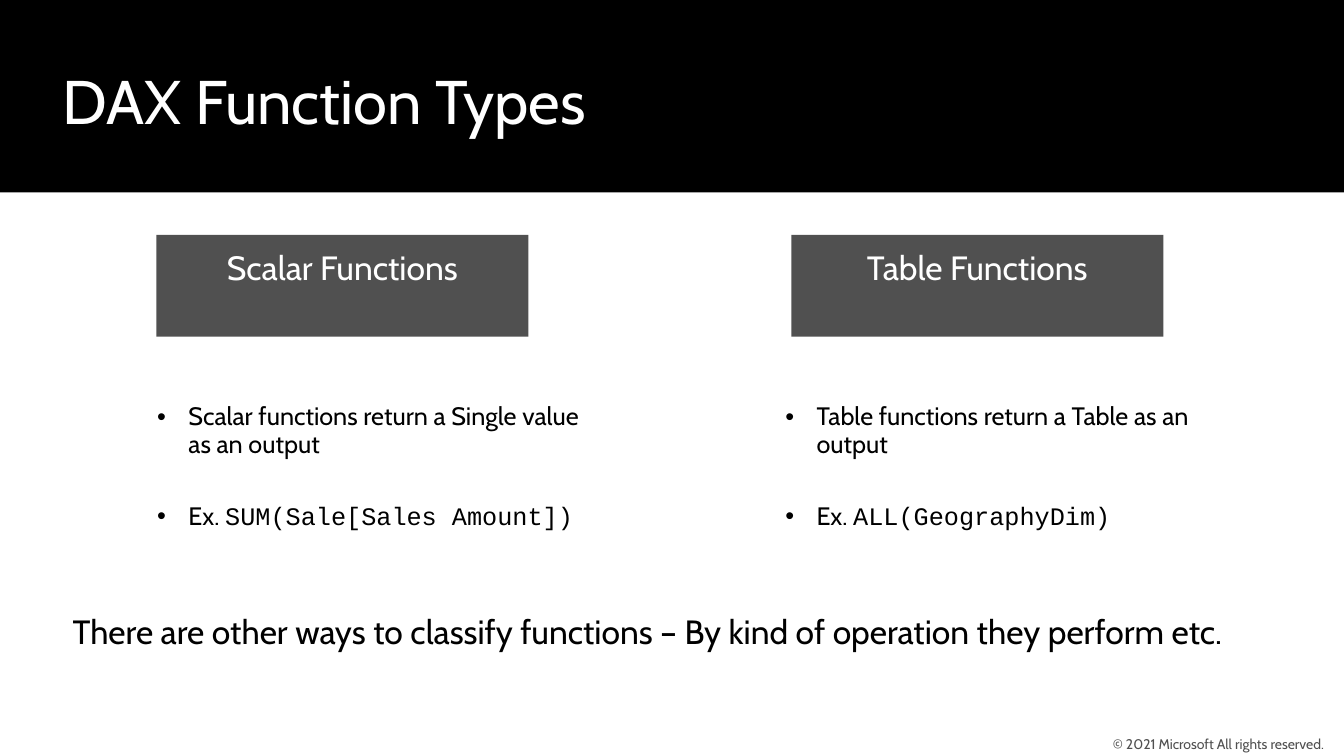
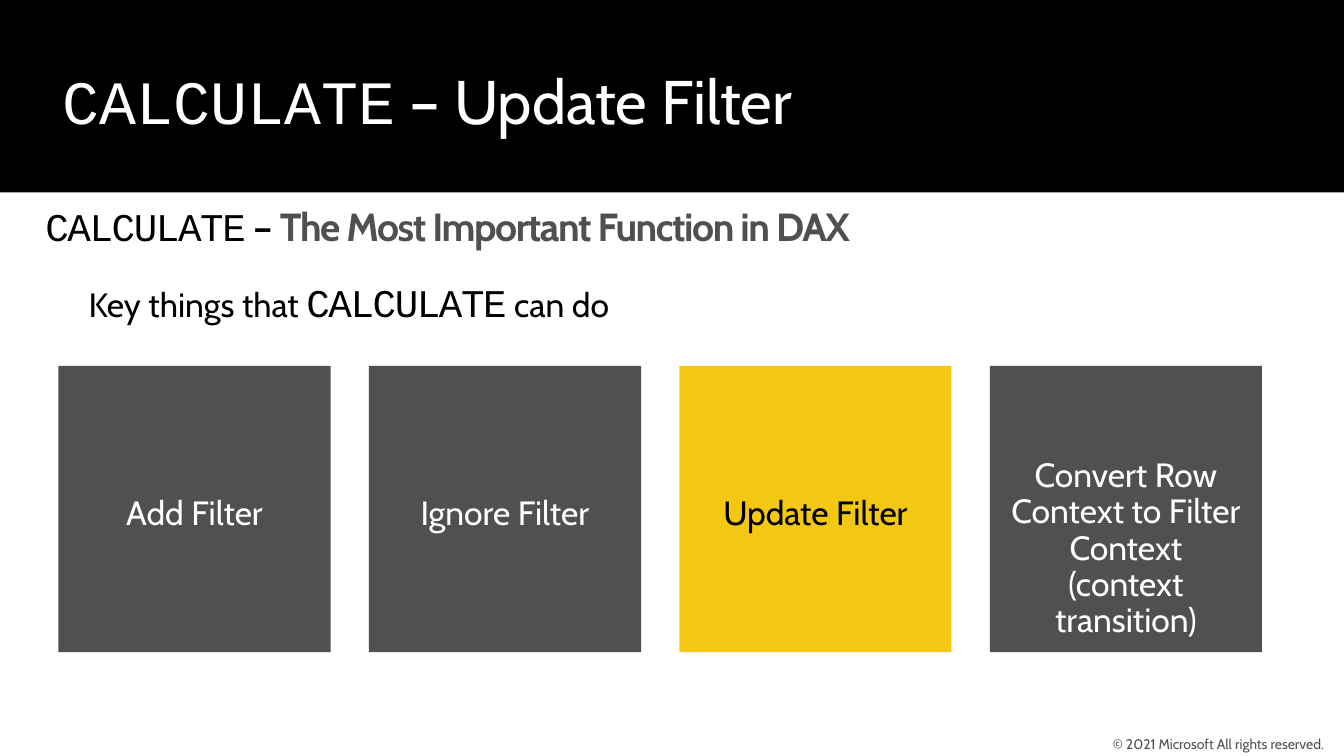
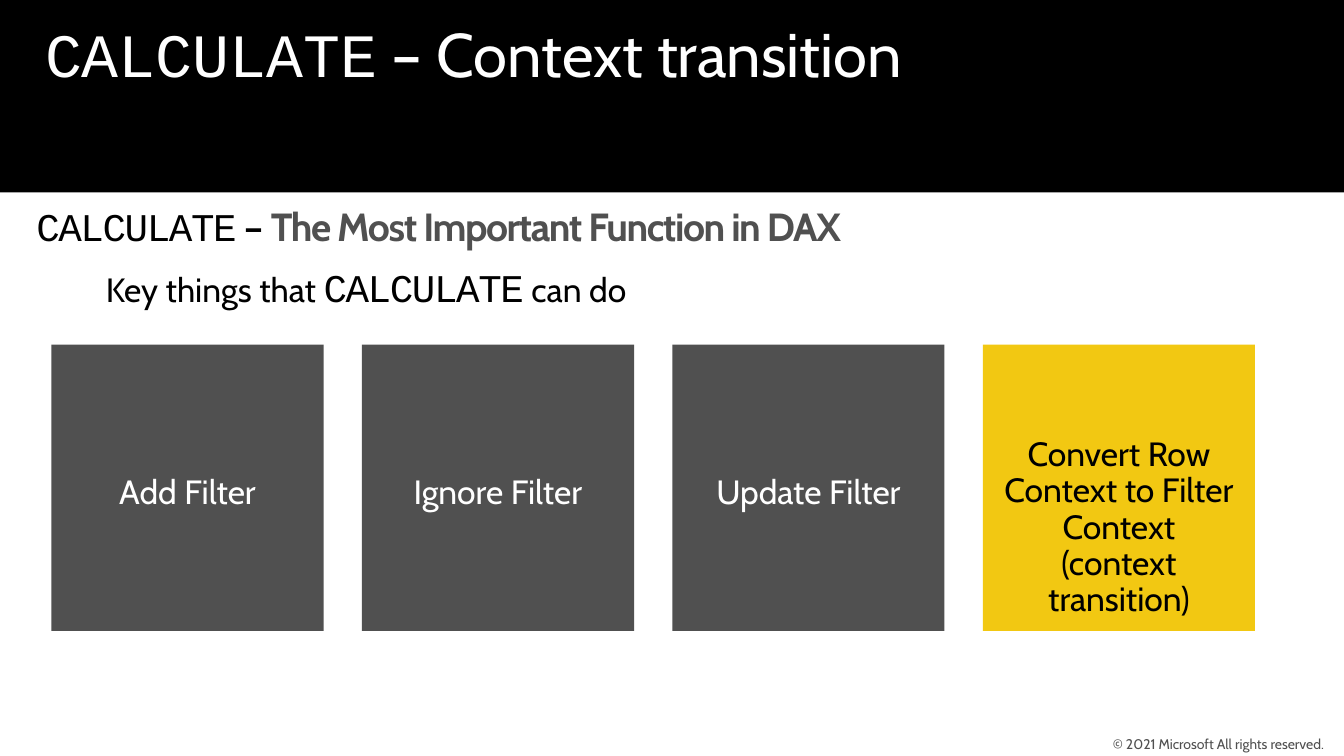
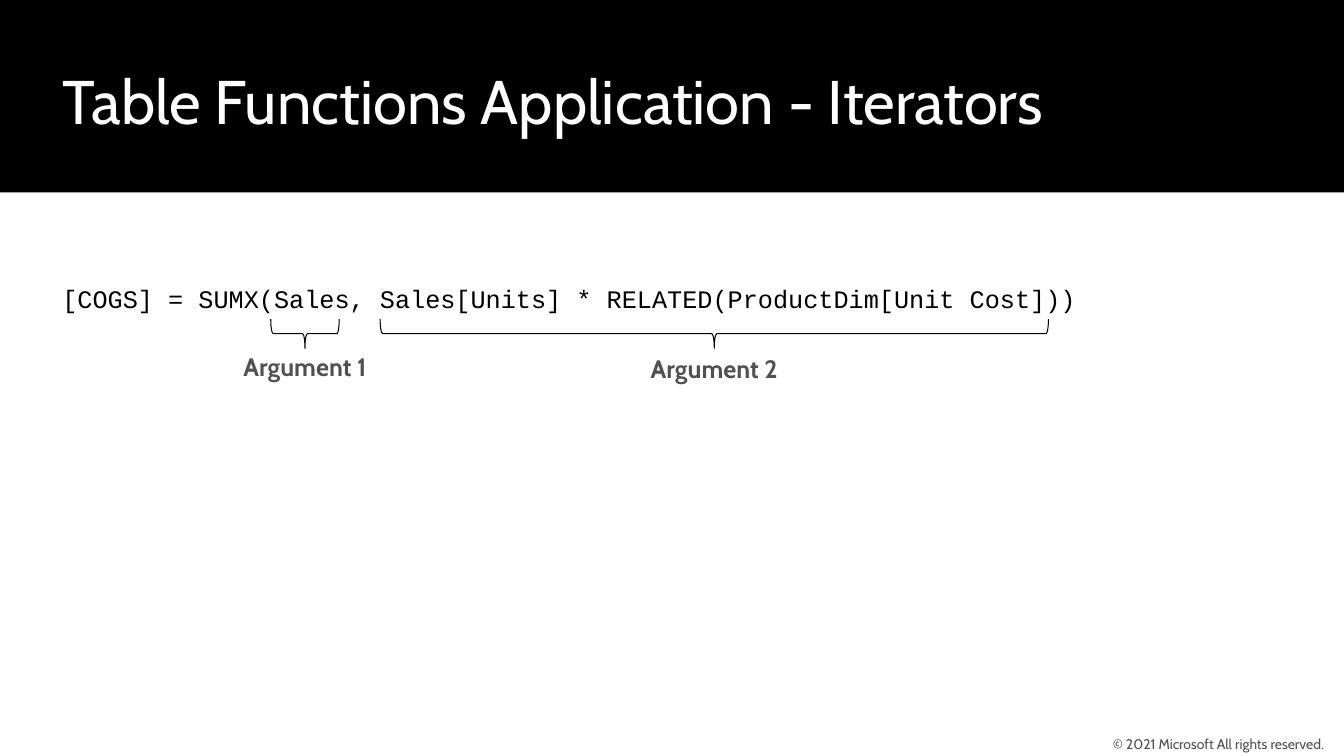
from dataclasses import dataclass

import lxml.etree
import pptx
import pptx.dml.color
import pptx.enum.shapes
import pptx.enum.text
import pptx.oxml.ns
import pptx.presentation
import pptx.shapes.base
import pptx.slide
import pptx.util

# Shared look
COLORS = {
    "black": "000000",
    "white": "FFFFFF",
    "gray": "505050",
    "yellow": "F2C812",
}
TEXT_FONT, CODE_FONT = "Cabin", "Courier New"
SLIDE_WIDTH = pptx.util.Inches(13.333)
SLIDE_HEIGHT = pptx.util.Inches(7.5)
TITLE_AND_BODY, TWO_BODIES, TITLE_ONLY = 1, 3, 5

ALIGN = pptx.enum.text.PP_ALIGN
ANCHOR = pptx.enum.text.MSO_ANCHOR
SHAPE = pptx.enum.shapes.MSO_SHAPE

TIGHT = (0.1, 0.05, 0.1, 0.05)
ROOMY = (0.2, 0.16, 0.2, 0.16)
LIST_INDENT = 0.31


@dataclass(frozen=True)
class Box:
    """A frame in percent of the slide's width and height."""
    left: float
    top: float
    width: float
    height: float

    def emu(self) -> tuple[int, int, int, int]:
        return (
            round(self.left * SLIDE_WIDTH / 100),
            round(self.top * SLIDE_HEIGHT / 100),
            round(self.width * SLIDE_WIDTH / 100),
            round(self.height * SLIDE_HEIGHT / 100),
        )

    def column(self, index: int, pitch: float) -> "Box":
        return Box(self.left + index * pitch, self.top, self.width, self.height)


@dataclass(frozen=True)
class Span:
    text: str
    size: float
    color: str = "black"
    font: str = TEXT_FONT
    bold: bool = False
    spacing: int = 0


@dataclass(frozen=True)
class Line:
    spans: tuple[Span, ...]
    align: ALIGN = ALIGN.LEFT
    line_spacing: float = 0.9
    space_after: float = 0
    bullet: bool = False


@dataclass(frozen=True)
class FunctionType:
    heading: str
    meaning: str
    example: str


@dataclass(frozen=True)
class Tile:
    label: str
    blank_rows: int = 3


@dataclass(frozen=True)
class FilterSlide:
    heading: str
    heading_box: Box
    subheading_left: float
    intro_left: float
    intro_top: float
    tiles_left: float
    tiles_top: float
    highlighted: int


@dataclass(frozen=True)
class Argument:
    label: str
    brace: Box
    label_top: float


TITLE_BOX = Box(3.9, 7.6, 84.15, 11.2)
BAND_BOX = Box(0, 0, 100, 25.47)
FOOTER_BOX = Box(81.3, 96.8, 18.7, 3.2)
FOOTER = "© 2021 Microsoft All rights reserved."

FUNCTION_TYPES = (
    FunctionType("Scalar Functions",
                 "Scalar functions return a Single value as an output",
                 "SUM(Sale[Sales Amount])"),
    FunctionType("Table Functions",
                 "Table functions return a Table as an output",
                 "ALL(GeographyDim)"),
)
TILES = (
    Tile("Add Filter"),
    Tile("Ignore Filter"),
    Tile("Update Filter"),
    Tile("Convert Row Context to Filter Context (context transition)", 2),
)
FILTER_SLIDES = (
    FilterSlide(" – Update Filter", TITLE_BOX, 2.18, 5.1, 35.33, 4.35, 48.4, 2),
    FilterSlide(" – Context transition", Box(2.6, 1.47, 68.7, 11.2),
                1.5, 6.38, 33.47, 3.83, 45.6, 3),
)
ARGUMENTS = (
    Argument("Argument 1", Box(20.14, 42.2, 5.1, 3.87), 44.8),
    Argument("Argument 2", Box(28.28, 42.2, 49.73, 3.87), 45.07),
)


# Text
def rgb(name: str) -> pptx.dml.color.RGBColor:
    return pptx.dml.color.RGBColor.from_string(COLORS[name])


def write(holder: pptx.shapes.base.BaseShape, lines: tuple[Line, ...],
          insets: tuple[float, ...] = TIGHT, anchor: ANCHOR = ANCHOR.TOP) -> None:
    frame = holder.text_frame
    frame.word_wrap = True
    frame.auto_size = pptx.enum.text.MSO_AUTO_SIZE.NONE
    frame.vertical_anchor = anchor
    (frame.margin_left, frame.margin_top,
     frame.margin_right, frame.margin_bottom) = map(pptx.util.Inches, insets)
    frame.text = "\n".join("" for _ in lines)
    for paragraph, line in zip(frame.paragraphs, lines):
        set_bullet(paragraph, line.bullet)
        paragraph.alignment = line.align
        paragraph.line_spacing = line.line_spacing
        paragraph.space_before = pptx.util.Pt(0)
        paragraph.space_after = pptx.util.Pt(line.space_after)
        for span in line.spans:
            run = paragraph.add_run()
            run.text = span.text
            run.font.name = span.font
            run.font.size = pptx.util.Pt(span.size)
            run.font.bold = span.bold
            run.font.color.rgb = rgb(span.color)
            if span.spacing:
                run._r.get_or_add_rPr().set("spc", str(span.spacing * 100))


def set_bullet(paragraph, shown: bool) -> None:
    properties = paragraph._p.get_or_add_pPr()
    indent = pptx.util.Inches(LIST_INDENT) if shown else 0
    properties.set("marL", str(indent))
    properties.set("indent", str(-indent))
    tag = "a:buChar" if shown else "a:buNone"
    bullet = lxml.etree.SubElement(properties, pptx.oxml.ns.qn(tag))
    if shown:
        bullet.set("char", "•")


# Parts
def place(holder: pptx.shapes.base.BaseShape, box: Box) -> pptx.shapes.base.BaseShape:
    holder.left, holder.top, holder.width, holder.height = box.emu()
    return holder


def add_text(slide: pptx.slide.Slide, box: Box, line: Line,
             insets: tuple[float, ...] = TIGHT, anchor: ANCHOR = ANCHOR.TOP) -> None:
    write(slide.shapes.add_textbox(*box.emu()), (line,), insets, anchor)


def add_panel(slide: pptx.slide.Slide, box: Box, color: str) -> pptx.shapes.base.BaseShape:
    panel = slide.shapes.add_shape(SHAPE.RECTANGLE, *box.emu())
    panel.shadow.inherit = False
    panel.fill.solid()
    panel.fill.fore_color.rgb = rgb(color)
    panel.line.fill.background()
    return panel


def add_brace(slide: pptx.slide.Slide, box: Box) -> None:
    left, top, width, height = box.emu()
    # A right brace turned by 90 degrees points down
    brace = slide.shapes.add_shape(
        SHAPE.RIGHT_BRACE, left + (width - height) // 2,
        top + (height - width) // 2, height, width)
    brace.rotation = 90
    brace.shadow.inherit = False
    brace.fill.background()
    brace.line.color.rgb = rgb("black")
    brace.line.width = pptx.util.Pt(0.75)


def add_master_band(deck: pptx.presentation.Presentation, slide: pptx.slide.Slide) -> None:
    band = add_panel(slide, BAND_BOX, "black").element
    band.xpath(".//p:cNvPr")[0].set("id", "20")
    deck.slide_master.shapes.element.insert(2, band)


def new_slide(deck: pptx.presentation.Presentation, layout: int,
              heading: tuple[Span, ...], box: Box = TITLE_BOX) -> pptx.slide.Slide:
    slide = deck.slides.add_slide(deck.slide_layouts[layout])
    write(place(slide.shapes.title, box), (Line(heading, line_spacing=1.0),))
    add_text(slide, FOOTER_BOX, Line((Span(FOOTER, 10, "gray"),), ALIGN.CENTER, 1.0),
             (0, 0, 0, 0), ANCHOR.MIDDLE)
    return slide


def title_span(text: str, font: str = TEXT_FONT) -> Span:
    return Span(text, 44, "white", font)


# Slides
def build_function_types(deck: pptx.presentation.Presentation) -> pptx.slide.Slide:
    slide = new_slide(deck, TWO_BODIES, (title_span("DAX Function Types"),))
    for index, kind in enumerate(FUNCTION_TYPES):
        header = add_panel(slide, Box(11.63, 31.07, 27.68, 13.47).column(index, 47.25), "gray")
        write(header, (Line((Span(kind.heading, 24, "white"),), ALIGN.CENTER),), ROOMY)
        details = place(slide.placeholders[index + 1],
                        Box(10.95, 52.8, 33.23, 18.13).column(index, 46.73))
        write(details, (
            Line((Span(kind.meaning, 18),), space_after=32, bullet=True),
            Line((Span("Ex. ", 18), Span(kind.example, 18, font=CODE_FONT)), bullet=True),
        ))
    closing = "There are other ways to classify functions – By kind of operation they perform etc."
    add_text(slide, Box(3.9, 79.33, 94.35, 9.2), Line((Span(closing, 24),)), ROOMY)
    return slide


def build_filter_slide(deck: pptx.presentation.Presentation, content: FilterSlide) -> None:
    slide = new_slide(
        deck, TITLE_AND_BODY,
        (title_span("CALCULATE", CODE_FONT), title_span(content.heading)),
        content.heading_box)
    function_name = Span("CALCULATE", 28, font=CODE_FONT, spacing=-1)
    subheading = place(slide.placeholders[1], Box(content.subheading_left, 26.13, 95.63, 7.6))
    write(subheading, (Line((
        function_name,
        Span(" – ", 28, bold=True, spacing=-1),
        Span("The Most Important Function in DAX", 28, "gray", bold=True, spacing=-1),
    )),), (0.16, 0.1, 0.16, 0.1))
    add_text(slide, Box(content.intro_left, content.intro_top, 81.67, 10.13), Line((
        Span("Key things that ", 24), function_name, Span(" can do", 24))), ROOMY)

    first_tile = Box(content.tiles_left, content.tiles_top, 20.25, 37.87)
    for index, tile in enumerate(TILES):
        fill, ink = ("yellow", "black") if index == content.highlighted else ("gray", "white")
        panel = add_panel(slide, first_tile.column(index, 23.1), fill)
        top_inset = 0.16 + 0.38 * tile.blank_rows
        write(panel, (Line((Span(tile.label, 24, ink),), ALIGN.CENTER),),
              (0.2, top_inset, 0.2, 0.16))


def build_iterators(deck: pptx.presentation.Presentation) -> None:
    slide = new_slide(deck, TITLE_ONLY, (title_span("Table Functions Application - Iterators"),))
    formula = "[COGS] = SUMX(Sales, Sales[Units] * RELATED(ProductDim[Unit Cost]))"
    add_text(slide, Box(3.9, 36.8, 87.23, 5.33),
             Line((Span(formula, 18, font=CODE_FONT),), line_spacing=1.0))
    label_width = 24
    for argument in ARGUMENTS:
        add_brace(slide, argument.brace)
        center = argument.brace.left + argument.brace.width / 2
        add_text(slide, Box(center - label_width / 2, argument.label_top, label_width, 8),
                 Line((Span(argument.label, 18, "gray", bold=True),), ALIGN.CENTER), ROOMY)


def main() -> None:
    deck = pptx.Presentation()
    deck.slide_width, deck.slide_height = SLIDE_WIDTH, SLIDE_HEIGHT
    opening = build_function_types(deck)
    add_master_band(deck, opening)
    for content in FILTER_SLIDES:
        build_filter_slide(deck, content)
    build_iterators(deck)
    deck.save("out.pptx")


if __name__ == "__main__":
    main()
